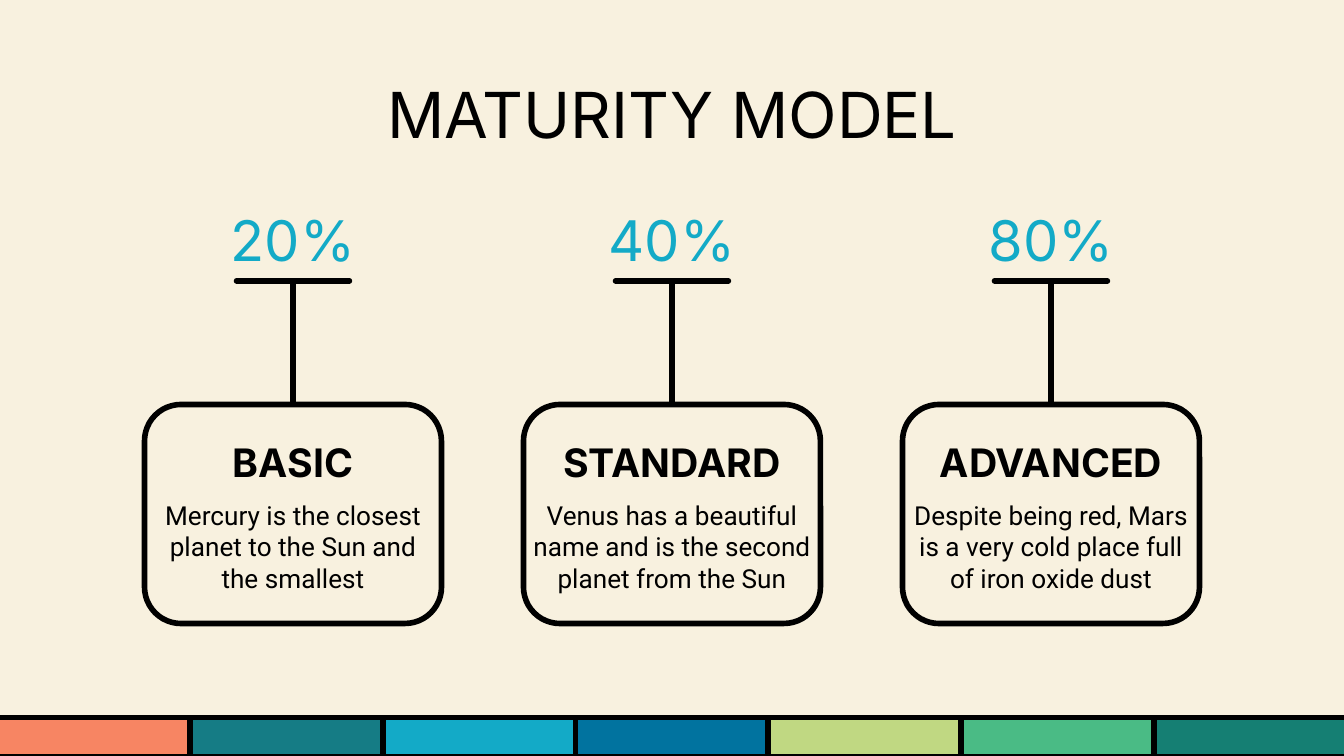
import pptx
import pptx.util
from pptx.dml.color import RGBColor
from pptx.enum.shapes import MSO_CONNECTOR, MSO_SHAPE
from pptx.enum.text import MSO_ANCHOR, MSO_AUTO_SIZE, PP_ALIGN
from pptx.oxml.ns import qn
from lxml import etree

Inches, Pt = pptx.util.Inches, pptx.util.Pt

COLORS = {
    "background": "F8F1DF", "ink": "000000", "coral": "F78563",
    "petrol": "157C85", "cyan": "13AAC7", "blue": "01739F",
    "lime": "C0D882", "green": "4ABB85", "teal": "157F73",
}
STRIP = ["coral", "petrol", "cyan", "blue", "lime", "green", "teal"]
LEVELS = [
    ("20%", "BASIC", "Mercury is the closest planet to the Sun and the smallest"),
    ("40%", "STANDARD", "Venus has a beautiful name and is the second planet from the Sun"),
    ("80%", "ADVANCED", "Despite being red, Mars is a very cold place full of iron oxide dust"),
]
SLIDE_W = 10
SLIDE_H = SLIDE_W * 9 / 16
LEVEL_W, LEVEL_PITCH = 2.28, 2.82


def rgb(name):
    return RGBColor.from_string(COLORS[name])


def set_text(sp, text, size, font="Inter", color="ink", bold=False, anchor=MSO_ANCHOR.TOP):
    tf = sp.text_frame
    tf.word_wrap = True
    tf.auto_size = MSO_AUTO_SIZE.NONE
    tf.vertical_anchor = anchor
    tf.margin_left = tf.margin_right = tf.margin_top = tf.margin_bottom = Inches(0.1)
    p = tf.paragraphs[0]
    p.alignment = PP_ALIGN.CENTER
    r = p.add_run()
    r.text = text
    r.font.name, r.font.size, r.font.bold = font, Pt(size), bold
    r.font.color.rgb = rgb(color)


def add_label(s, box, text, **fmt):
    set_text(s.shapes.add_textbox(*map(Inches, box)), text, **fmt)


def add_box(s, kind, box, fill=None):
    sp = s.shapes.add_shape(kind, *map(Inches, box))
    sp.shadow.inherit = False
    if fill:
        sp.fill.solid()
        sp.fill.fore_color.rgb = rgb(fill)
    else:
        sp.fill.background()
    sp.line.color.rgb = rgb("ink")
    sp.line.width = Pt(3)
    return sp


def add_line(s, x1, y1, x2, y2, round_ends=False):
    cn = s.shapes.add_connector(MSO_CONNECTOR.STRAIGHT, *map(Inches, (x1, y1, x2, y2)))
    cn.line.color.rgb = rgb("ink")
    cn.line.width = Pt(3)
    spPr = cn.element.spPr
    if round_ends:
        spPr.find(qn("a:ln")).set("cap", "rnd")
    etree.SubElement(spPr, qn("a:effectLst"))
    return cn


def add_title(s, box, text):
    sp = s.shapes.title
    sp.left, sp.top, sp.width, sp.height = map(Inches, box)
    set_text(sp, text, size=34)


def add_strip(s, x, y, w, h):
    step = w / len(STRIP)
    for i, color in enumerate(STRIP):
        add_box(s, MSO_SHAPE.RECTANGLE, (x + i * step, y, step, h), color)


def add_level(s, x, y, w, percent, name, text):
    """Percentage on a T-shaped stem above a card with a heading and text."""
    mid = x + w / 2
    card_w = 2.21
    card = add_box(s, MSO_SHAPE.ROUNDED_RECTANGLE, (mid - card_w / 2, y + 1.52, card_w, 1.63))
    add_label(s, (x, y + 1.67, w, 0.48), name, size=21, bold=True)
    add_label(s, (x, y + 2.15, w, 0.85), text, size=14, font="Roboto", anchor=MSO_ANCHOR.MIDDLE)
    add_label(s, (mid - 0.675, y, 1.35, 0.58), percent, size=30, color="cyan",
              anchor=MSO_ANCHOR.MIDDLE)
    stem = add_line(s, mid, y + 0.58, mid, y + 1.52)
    stem.end_connect(card, 0)
    add_line(s, mid - 0.42, y + 0.6, mid + 0.42, y + 0.6, round_ends=True)


def main():
    prs = pptx.Presentation()
    prs.slide_width, prs.slide_height = Inches(SLIDE_W), Inches(SLIDE_H)
    s = prs.slides.add_slide(prs.slide_layouts[5])
    s.background.fill.solid()
    s.background.fill.fore_color.rgb = rgb("background")

    add_strip(s, -0.02, 5.34, SLIDE_W + 0.04, 0.29)
    add_title(s, (0.78, 0.46, 8.44, 0.63), "MATURITY MODEL")
    left = (SLIDE_W - LEVEL_W) / 2 - LEVEL_PITCH
    for i, level in enumerate(LEVELS):
        add_level(s, left + i * LEVEL_PITCH, 1.49, LEVEL_W, *level)

    prs.save("out.pptx")


if __name__ == "__main__":
    main()
